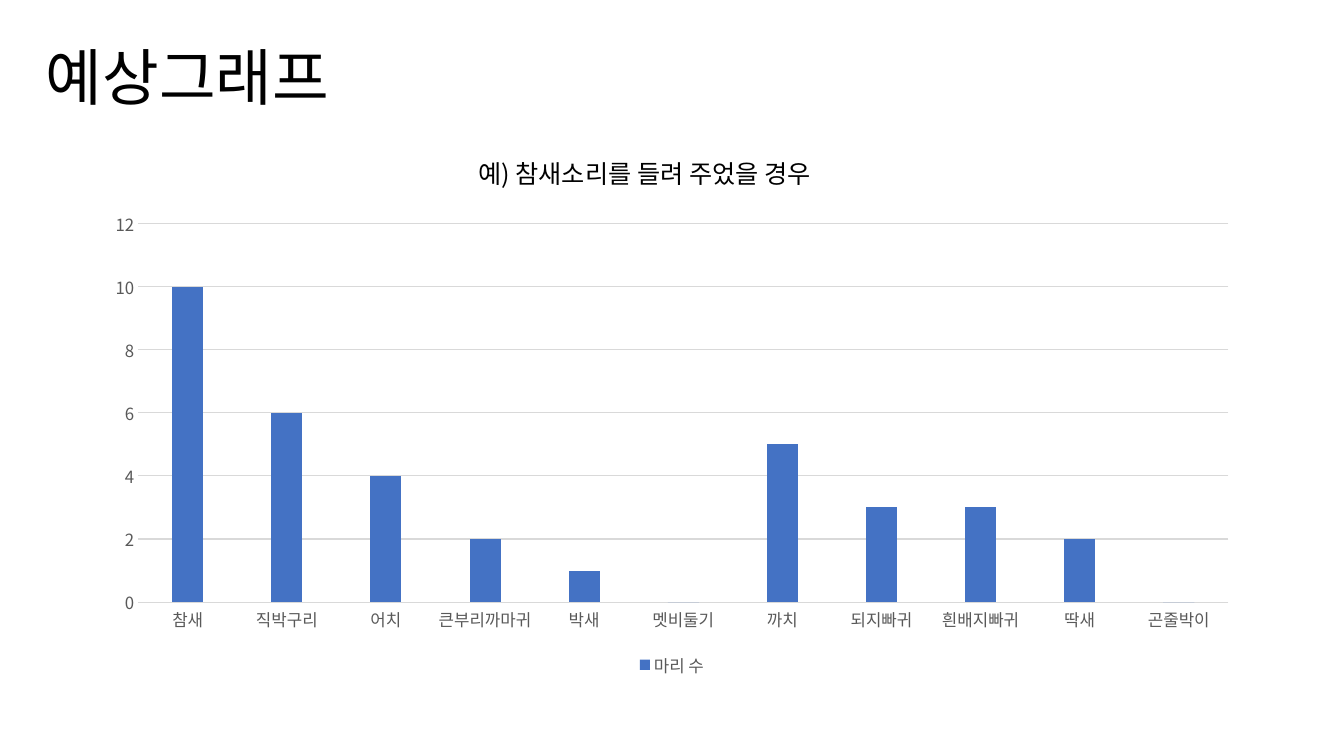
"""Build the expected-graph slide with a column chart of bird counts."""
from dataclasses import dataclass

from lxml import etree
from pptx import Presentation
from pptx.chart.data import CategoryChartData
from pptx.dml.color import RGBColor
from pptx.enum.chart import XL_CHART_TYPE, XL_LEGEND_POSITION, XL_TICK_MARK
from pptx.enum.text import MSO_ANCHOR, MSO_AUTO_SIZE, PP_ALIGN
from pptx.oxml.ns import qn
from pptx.util import Pt

PX = 9525
FONT = "Noto Sans CJK KR"
BLACK, GRAY, GRID, BLUE = "000000", "595959", "D9D9D9", "4472C4"
COLUMNS = XL_CHART_TYPE.COLUMN_CLUSTERED
BOTTOM = XL_LEGEND_POSITION.BOTTOM
NO_TICK = XL_TICK_MARK.NONE
LEFT = PP_ALIGN.LEFT
MIDDLE, TOP = MSO_ANCHOR.MIDDLE, MSO_ANCHOR.TOP
NO_FIT, GROW = MSO_AUTO_SIZE.NONE, MSO_AUTO_SIZE.SHAPE_TO_FIT_TEXT

BIRDS = {
    "참새": 10, "직박구리": 6, "어치": 4, "큰부리까마귀": 2, "박새": 1, "멧비둘기": 0,
    "까치": 5, "되지빠귀": 3, "흰배지빠귀": 3, "딱새": 2, "곤줄박이": 0,
}


@dataclass(frozen=True)
class Box:
    left: int
    top: int
    width: int
    height: int

    def emu(self) -> tuple:
        return tuple(v * PX for v in (self.left, self.top, self.width, self.height))


@dataclass(frozen=True)
class Label:
    text: str
    box: Box
    size: int
    spacing: float
    anchor: MSO_ANCHOR
    fit: MSO_AUTO_SIZE


TITLE = Label("예상그래프", Box(34, 7, 1104, 139), 44, 0.9, MIDDLE, NO_FIT)
CAPTION = Label("예) 참새소리를 들려 주었을 경우", Box(446, 146, 430, 38), 18, 1.0, TOP, GROW)
CHART_BOX = Box(88, 192, 1104, 457)


def rgb(color: str) -> RGBColor:
    return RGBColor.from_string(color)


def style_font(font, size: int, color: str) -> None:
    font.name = FONT
    font.size = Pt(size)
    font.bold = False
    font.color.rgb = rgb(color)


def style_line(line) -> None:
    line.color.rgb = rgb(GRID)
    line.width = Pt(0.75)


def set_east_asian_font(root) -> None:
    for latin in list(root.iter(qn("a:latin"))):
        ea = etree.Element(qn("a:ea"), typeface=FONT)
        latin.addnext(ea)


def fill_label(s, label: Label) -> None:
    s.left, s.top, s.width, s.height = label.box.emu()
    tf = s.text_frame
    tf.text = label.text
    tf.word_wrap = True
    tf.auto_size = label.fit
    tf.vertical_anchor = label.anchor
    p = tf.paragraphs[0]
    p.alignment = LEFT
    p.line_spacing = label.spacing
    style_font(p.font, label.size, BLACK)
    set_east_asian_font(s.element)


def add_bird_chart(slide) -> None:
    data = CategoryChartData(number_format="General")
    data.categories = list(BIRDS)
    data.add_series("마리 수", list(BIRDS.values()))
    chart = slide.shapes.add_chart(COLUMNS, *CHART_BOX.emu(), data).chart
    chart.has_title = False
    style_font(chart.font, 10, BLACK)

    plot = chart.plots[0]
    plot.gap_width = 219
    plot.overlap = -27
    plot.vary_by_categories = False
    fill = plot.series[0].format.fill
    fill.solid()
    fill.fore_color.rgb = rgb(BLUE)

    for axis in (chart.category_axis, chart.value_axis):
        axis.major_tick_mark = axis.minor_tick_mark = NO_TICK
        style_font(axis.tick_labels.font, 12, GRAY)
    style_line(chart.category_axis.format.line)
    value_axis = chart.value_axis
    value_axis.minimum_scale, value_axis.maximum_scale, value_axis.major_unit = 0, 12, 2
    value_axis.format.line.fill.background()
    style_line(value_axis.major_gridlines.format.line)

    chart.has_legend = True
    chart.legend.position = BOTTOM
    chart.legend.include_in_layout = False
    style_font(chart.legend.font, 12, GRAY)
    set_east_asian_font(chart._chartSpace)


def main() -> None:
    prs = Presentation()
    prs.slide_width, prs.slide_height = 1280 * PX, 720 * PX
    slide = prs.slides.add_slide(prs.slide_layouts[5])
    fill_label(slide.shapes.title, TITLE)
    add_bird_chart(slide)
    fill_label(slide.shapes.add_textbox(*CAPTION.box.emu()), CAPTION)
    prs.save("out.pptx")


if __name__ == "__main__":
    main()
